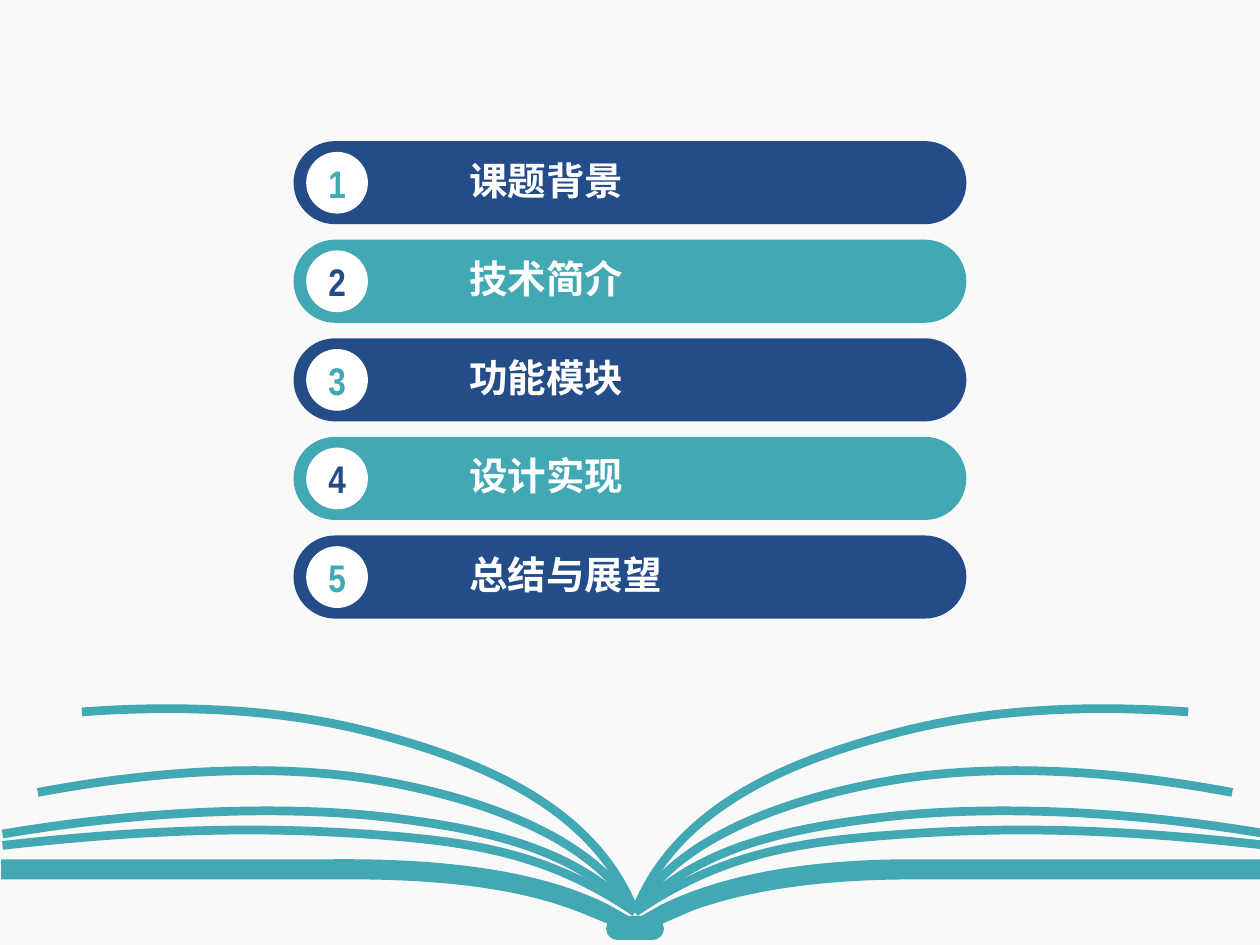
import dataclasses
import lxml.etree
import pptx
import pptx.util
import pptx.dml.color
import pptx.enum.shapes
import pptx.enum.text
import pptx.oxml.ns

SCALE = 9144


@dataclasses.dataclass(frozen=True)
class Theme:
    back: str = "F9F9F9"
    white: str = "FFFFFF"
    teal: str = "42A9B4"
    navy: str = "234C89"
    font: str = "Noto Sans CJK SC"
    digit: str = "Arial Narrow"
    size: int = 22
    line: int = 5


THEME = Theme()
KIND = pptx.enum.shapes.MSO_SHAPE
ALIGN = pptx.enum.text.PP_ALIGN

TOPICS = ["课题背景", "技术简介", "功能模块", "设计实现", "总结与展望"]

PAGES = [
    [(0, 0), [(-46, -47), (-107, -64), (-186, -74)], [(-259, -84), (-372, -84), (-502, -62)]],
    [(0, 0), [(-65, -44), (-121, -55), (-200, -61)], [(-291, -68), (-377, -67), (-502, -53)]],
    [(0, 0), [(-34, -62), (-130, -93), (-212, -106)], [(-285, -117), (-373, -114), (-474, -95)]],
    [(0, 0), [(-32, -83), (-122, -120), (-206, -142)], [(-277, -161), (-358, -165), (-439, -159)]],
]

COVER = [
    (-503, -42), (-242, -42), [(-142, -43), (-71, -31), (-21, -6)],
    (-5, 3), (5, 3), (21, -6), [(74, -32), (144, -42), (220, -42)],
    (502, -42), (502, -26), (220, -26), [(155, -26), (94, -19), (45, -1)],
    (22, 9), (23, 13), [(23, 18), (19, 22), (14, 22)],
    (-14, 22), [(-19, 22), (-23, 18), (-23, 13)],
    (-22, 9), (-44, 0), [(-92, -19), (-156, -27), (-242, -26)], (-503, -26),
]


def px(num):
    return pptx.util.Emu(round(num * SCALE))


def paint(fill, color):
    fill.solid()
    fill.fore_color.rgb = pptx.dml.color.RGBColor.from_string(color)


def bend(shape, parts):
    qn = pptx.oxml.ns.qn
    lines = iter(list(shape._element.iter(qn("a:lnTo"))))
    for part in parts[1:]:
        first = next(lines)
        if isinstance(part, tuple):
            continue
        curve = lxml.etree.Element(qn("a:cubicBezTo"))
        first.addprevious(curve)
        for line in (first, next(lines), next(lines)):
            curve.append(line[0])
            line.getparent().remove(line)


def outline(shapes, parts, hub, side=1, close=False):
    knots = [knot for part in parts
             for knot in ([part] if isinstance(part, tuple) else part)]
    points = [(px(hub[0] + side * x), px(hub[1] + y)) for x, y in knots]
    pen = shapes.build_freeform(*points[0], scale=1.0)
    pen.add_line_segments(points[1:], close=close)
    shape = pen.convert_to_shape()
    shape.shadow.inherit = False
    bend(shape, parts)
    return shape


def draw_book(slide, box):
    left, top, width, height = box
    hub = (left + width // 2, top + height - 22)
    group = slide.shapes.add_group_shape()
    for side in (1, -1):
        for page in PAGES:
            leaf = outline(group.shapes, page, hub, side)
            leaf.fill.background()
            paint(leaf.line.fill, THEME.teal)
            leaf.line.width = pptx.util.Pt(THEME.line)
    cover = outline(slide.shapes, COVER, hub, close=True)
    paint(cover.fill, THEME.teal)
    cover.line.fill.background()


def add_block(slide, kind, box, fill):
    shape = slide.shapes.add_shape(kind, *map(px, box))
    shape.shadow.inherit = False
    paint(shape.fill, fill)
    shape.line.fill.background()
    return shape


def add_label(slide, kind, box, fill, text, font, color, align):
    shape = add_block(slide, kind, box, fill)
    frame = shape.text_frame
    frame.text = text
    frame.word_wrap = False
    frame.vertical_anchor = pptx.enum.text.MSO_ANCHOR.MIDDLE
    para = frame.paragraphs[0]
    para.alignment = align
    run = para.runs[0]
    run.font.name = font
    run.font.size = pptx.util.Pt(THEME.size)
    run.font.bold = True
    paint(run.font.fill, color)
    east = lxml.etree.SubElement(run.font._element, pptx.oxml.ns.qn("a:ea"))
    east.set("typeface", font)
    return shape


def draw_row(slide, box, num, text):
    left, top, width, height = box
    fill, accent = (THEME.navy, THEME.teal) if num % 2 else (THEME.teal, THEME.navy)
    bar = add_label(slide, KIND.ROUNDED_RECTANGLE, box, fill, text,
                    THEME.font, THEME.white, ALIGN.LEFT)
    bar.adjustments[0] = 0.5
    bar.text_frame.margin_left = px(32)
    para = bar.text_frame.paragraphs[0]
    para.line_spacing = 0.9
    props = para._p.get_or_add_pPr()
    props.set("marL", str(px(98)))
    props.set("indent", "0")
    dot = 49
    spot = (left + 10, top + (height - dot) / 2, dot, dot)
    disc = add_label(slide, KIND.OVAL, spot, THEME.white, str(num),
                     THEME.digit, accent, ALIGN.CENTER)
    disc.text_frame.margin_left = disc.text_frame.margin_right = 0


def draw_list(slide, box):
    left, top, width, height = box
    bar = 66
    pitch = (height - bar) / (len(TOPICS) - 1)
    for row, text in enumerate(TOPICS):
        draw_row(slide, (left, top + row * pitch, width, bar), row + 1, text)


def main():
    deck = pptx.Presentation()
    deck.slide_width = px(1000)
    deck.slide_height = px(750)
    slide = deck.slides.add_slide(deck.slide_layouts[6])
    add_block(slide, KIND.RECTANGLE, (0, 0, 1000, 750), THEME.back)
    draw_book(slide, (1, 559, 1006, 187))
    draw_list(slide, (233, 112, 534, 379))
    deck.save("out.pptx")


if __name__ == "__main__":
    main()
